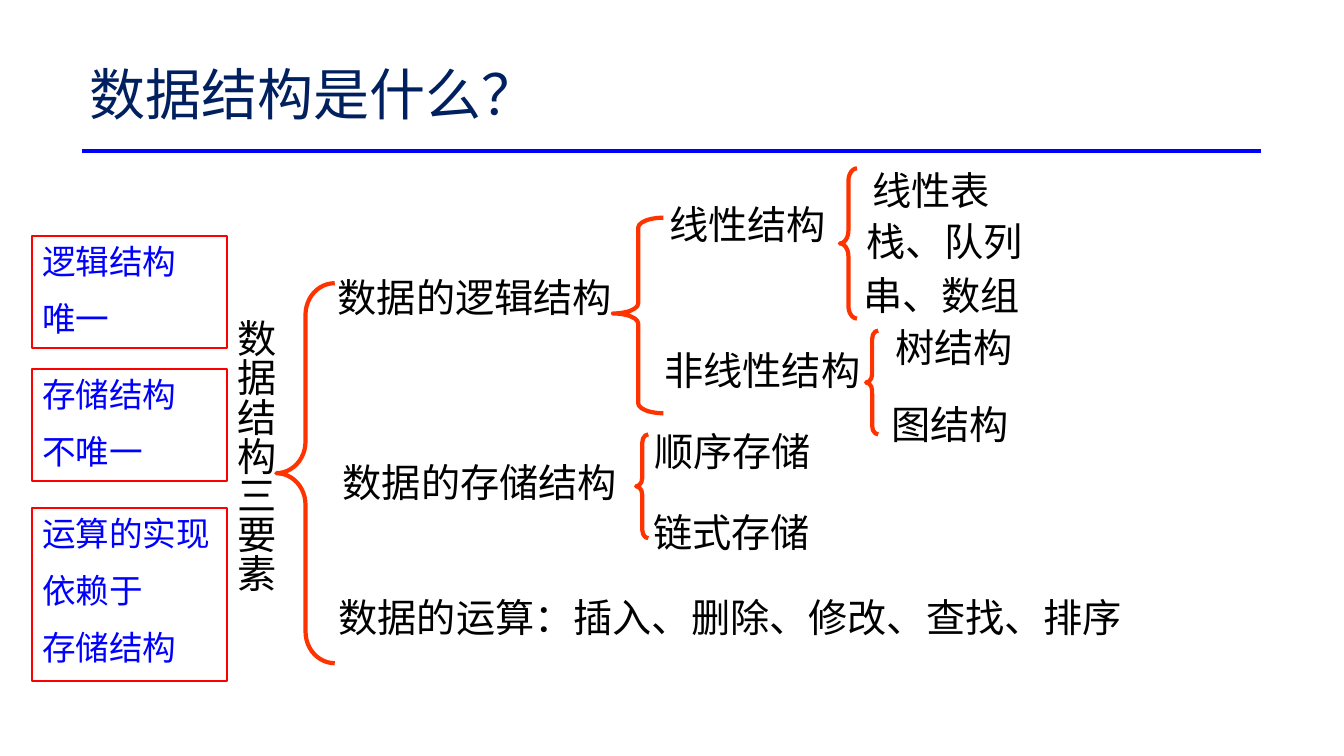
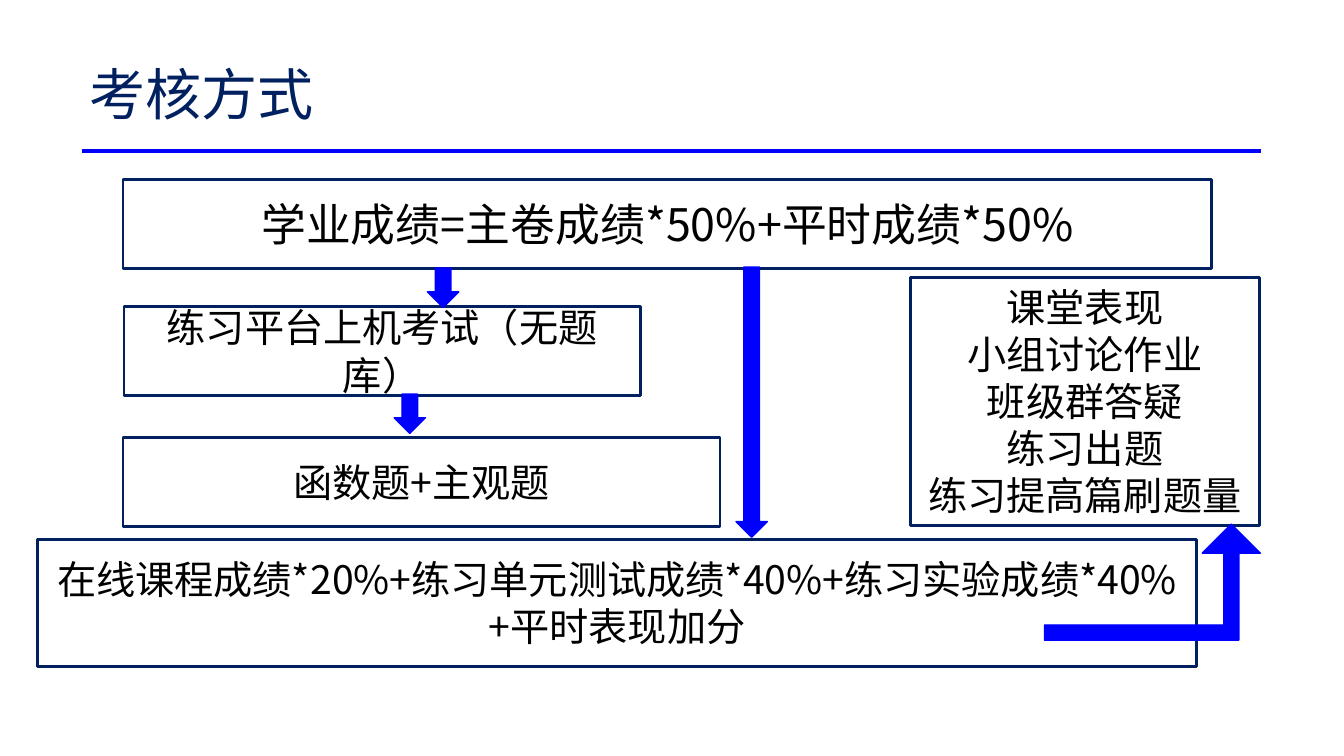
"""Build two course slides: the elements of a data structure and the grading scheme."""
import dataclasses

import pptx
import pptx.dml.color
import pptx.enum.lang
import pptx.enum.shapes
import pptx.enum.text
import pptx.oxml.ns
import pptx.util
from lxml import etree

SHAPE = pptx.enum.shapes.MSO_SHAPE
ALIGN = pptx.enum.text.PP_ALIGN
ANCHOR = pptx.enum.text.MSO_ANCHOR
INCH = pptx.util.Inches
POINT = pptx.util.Pt


@dataclasses.dataclass(frozen=True)
class Theme:
    """Hold the colours, type sizes and line widths."""
    font: str = "Noto Sans CJK SC"
    navy: str = "002060"
    blue: str = "0000FF"
    red: str = "FF0000"
    orange: str = "FF3300"
    black: str = "000000"
    white: str = "FFFFFF"
    title: int = 40
    formula: int = 32
    body: int = 28
    note: int = 24
    heavy: float = 3
    outline: float = 2
    note_line: float = 1.5
    thin: float = 1


THEME = Theme()
WIDTH, HEIGHT = 13.33, 7.5
RULE = (0.81, 12.51, 1.5)
TITLE_AREA = (0.79, 0.55, 11.68, 0.84)
LABEL_HEIGHT = 0.57
NOTE_LEFT, NOTE_WIDTH, NOTE_ROW, NOTE_TRIM = 0.32, 1.93, 0.61, 0.11
STEP_HEIGHT = 0.88
ARROW_WIDTH, ARROW_HEIGHT = 0.31, 0.39

STRUCTURE = {
    "title": "数据结构是什么？",
    "root": ("数据结构三要素", (2.15, 3.07, 0.67, 3.26)),
    "labels": [
        ("数据的逻辑结构", 3.35, 2.66),
        ("数据的存储结构", 3.4, 4.5),
        ("数据的运算：插入、删除、修改、查找、排序", 3.36, 5.83),
        ("线性结构", 6.64, 1.94),
        ("非线性结构", 6.59, 3.38),
        ("顺序存储", 6.49, 4.19),
        ("链式存储", 6.48, 4.99),
        ("线性表", 8.65, 1.6),
        ("栈、队列", 8.59, 2.1),
        ("串、数组", 8.56, 2.64),
        ("树结构", 8.88, 3.16),
        ("图结构", 8.84, 3.92),
    ],
    "braces": [
        ((2.74, 2.81, 0.58, 3.77), (0.54, 0.5)),
        ((6.08, 2.16, 0.5, 1.94), (0.2, 0.49)),
        ((6.31, 4.31, 0.12, 1.03), (0.69, 0.5)),
        ((8.33, 1.67, 0.17, 1.49), (0.74, 0.5)),
        ((8.59, 3.28, 0.12, 1.03), (0.69, 0.5)),
    ],
    "notes": [
        (2.34, ["逻辑结构", "唯一"]),
        (3.66, ["存储结构", "不唯一"]),
        (5.04, ["运算的实现", "依赖于", "存储结构"]),
    ],
}

GRADING = {
    "title": "考核方式",
    "steps": [
        (["学业成绩=主卷成绩*50%+平时成绩*50%"], (1.22, 1.78, 10.8, STEP_HEIGHT), THEME.formula),
        (["练习平台上机考试（无题库）"], (1.23, 3.04, 5.12, STEP_HEIGHT), THEME.body),
        (["函数题+主观题"], (1.22, 4.34, 5.92, STEP_HEIGHT), THEME.body),
        (["在线课程成绩*20%+练习单元测试成绩*40%+练习实验成绩*40% +平时表现加分"],
         (0.37, 5.35, 11.5, 1.26), THEME.body),
        (["课堂表现", "小组讨论作业", "班级群答疑", "练习出题", "练习提高篇刷题量"],
         (9.03, 2.75, 3.46, 2.46), THEME.body),
    ],
    "arrows": [
        (SHAPE.DOWN_ARROW, (4.24, 2.66, ARROW_WIDTH, ARROW_HEIGHT), ()),
        (SHAPE.DOWN_ARROW, (3.91, 3.91, ARROW_WIDTH, ARROW_HEIGHT), ()),
        (SHAPE.DOWN_ARROW, (7.3, 2.65, ARROW_WIDTH, 2.68), ()),
        (SHAPE.BENT_UP_ARROW, (10.36, 5.2, 2.14, 1.15), (0.13, 0.25, 0.25)),
    ],
}


def rgb(value):
    """Return a colour object for a hex string."""
    return pptx.dml.color.RGBColor.from_string(value)


def assign(target, values):
    """Set each attribute named in a dict."""
    for name, value in values.items():
        setattr(target, name, value)


def write(box, lines, size, color, frame_format=None, para_format=None, gap=0):
    """Fill a box with one paragraph per line."""
    frame = box.text_frame
    assign(frame, {"word_wrap": True, **(frame_format or {})})
    for index, line in enumerate(lines):
        para = frame.add_paragraph() if index else frame.paragraphs[0]
        assign(para, {"alignment": ALIGN.LEFT, **(para_format or {})})
        if index and gap:
            para.space_before = POINT(gap)
        span = para.add_run()
        span.text = line
        assign(span.font, {
            "size": POINT(size),
            "name": THEME.font,
            "language_id": pptx.enum.lang.MSO_LANGUAGE_ID.SIMPLIFIED_CHINESE,
        })
        span.font.color.rgb = rgb(color)
        east_asian = etree.Element(pptx.oxml.ns.qn("a:ea"), typeface=THEME.font)
        span.font._element.find(pptx.oxml.ns.qn("a:latin")).addnext(east_asian)


def add_text(page, area, lines, size, color, **formats):
    """Add a text box."""
    box = page.shapes.add_textbox(*map(INCH, area))
    write(box, lines, size, color, **formats)
    return box


def add_outline(page, kind, area, line, width, fill=None, adjustments=()):
    """Add a preset shape with a plain line and an optional fill."""
    shape = page.shapes.add_shape(kind, *map(INCH, area))
    shape.shadow.inherit = False
    shape.line.color.rgb = rgb(line)
    shape.line.width = POINT(width)
    if fill:
        shape.fill.solid()
        shape.fill.fore_color.rgb = rgb(fill)
    else:
        shape.fill.background()
    for index, value in enumerate(adjustments):
        shape.adjustments[index] = value
    return shape


def add_page(deck, title):
    """Add a blank page with the shared rule and title."""
    page = deck.slides.add_slide(deck.slide_layouts[6])
    left, right, level = map(INCH, RULE)
    rule = page.shapes.add_connector(
        pptx.enum.shapes.MSO_CONNECTOR.STRAIGHT, left, level, right, level)
    rule.line.color.rgb = rgb(THEME.blue)
    rule.line.width = POINT(THEME.heavy)
    etree.SubElement(rule._element.spPr, pptx.oxml.ns.qn("a:effectLst"))
    add_text(page, TITLE_AREA, [title], THEME.title, THEME.navy,
             frame_format={"vertical_anchor": ANCHOR.MIDDLE},
             para_format={"line_spacing": 0.9})
    return page


def build_structure(deck):
    """Draw the tree of data structure elements."""
    page = add_page(deck, STRUCTURE["title"])
    for area, adjustments in STRUCTURE["braces"]:
        add_outline(page, SHAPE.LEFT_BRACE, area, THEME.orange, THEME.heavy,
                    adjustments=adjustments)
    label_format = {"word_wrap": False, "vertical_anchor": ANCHOR.MIDDLE,
                    "margin_left": 0, "margin_right": 0}
    for text, left, top in STRUCTURE["labels"]:
        area = (left, top, len(text) * THEME.body / 72, LABEL_HEIGHT)
        add_text(page, area, [text], THEME.body, THEME.black, frame_format=label_format)
    text, area = STRUCTURE["root"]
    root = add_text(page, area, [text], THEME.body, THEME.black,
                    para_format={"alignment": ALIGN.CENTER})
    root.text_frame._txBody.bodyPr.set("vert", "eaVert")
    for top, lines in STRUCTURE["notes"]:
        area = (NOTE_LEFT, top, NOTE_WIDTH, NOTE_ROW * len(lines) - NOTE_TRIM)
        note = add_outline(page, SHAPE.RECTANGLE, area, THEME.red, THEME.note_line)
        write(note, lines, THEME.note, THEME.blue,
              frame_format={"vertical_anchor": ANCHOR.TOP}, gap=THEME.note / 2)


def build_grading(deck):
    """Draw the grading flow."""
    page = add_page(deck, GRADING["title"])
    for lines, area, size in GRADING["steps"]:
        step = add_outline(page, SHAPE.FLOWCHART_PROCESS, area, THEME.navy,
                           THEME.outline, THEME.white)
        write(step, lines, size, THEME.black,
              frame_format={"vertical_anchor": ANCHOR.MIDDLE},
              para_format={"alignment": ALIGN.CENTER})
    for kind, area, adjustments in GRADING["arrows"]:
        add_outline(page, kind, area, THEME.blue, THEME.thin, THEME.blue, adjustments)


def main():
    """Build and save the deck."""
    deck = pptx.Presentation()
    assign(deck, {"slide_width": INCH(WIDTH), "slide_height": INCH(HEIGHT)})
    build_structure(deck)
    build_grading(deck)
    deck.save("out.pptx")


if __name__ == "__main__":
    main()
